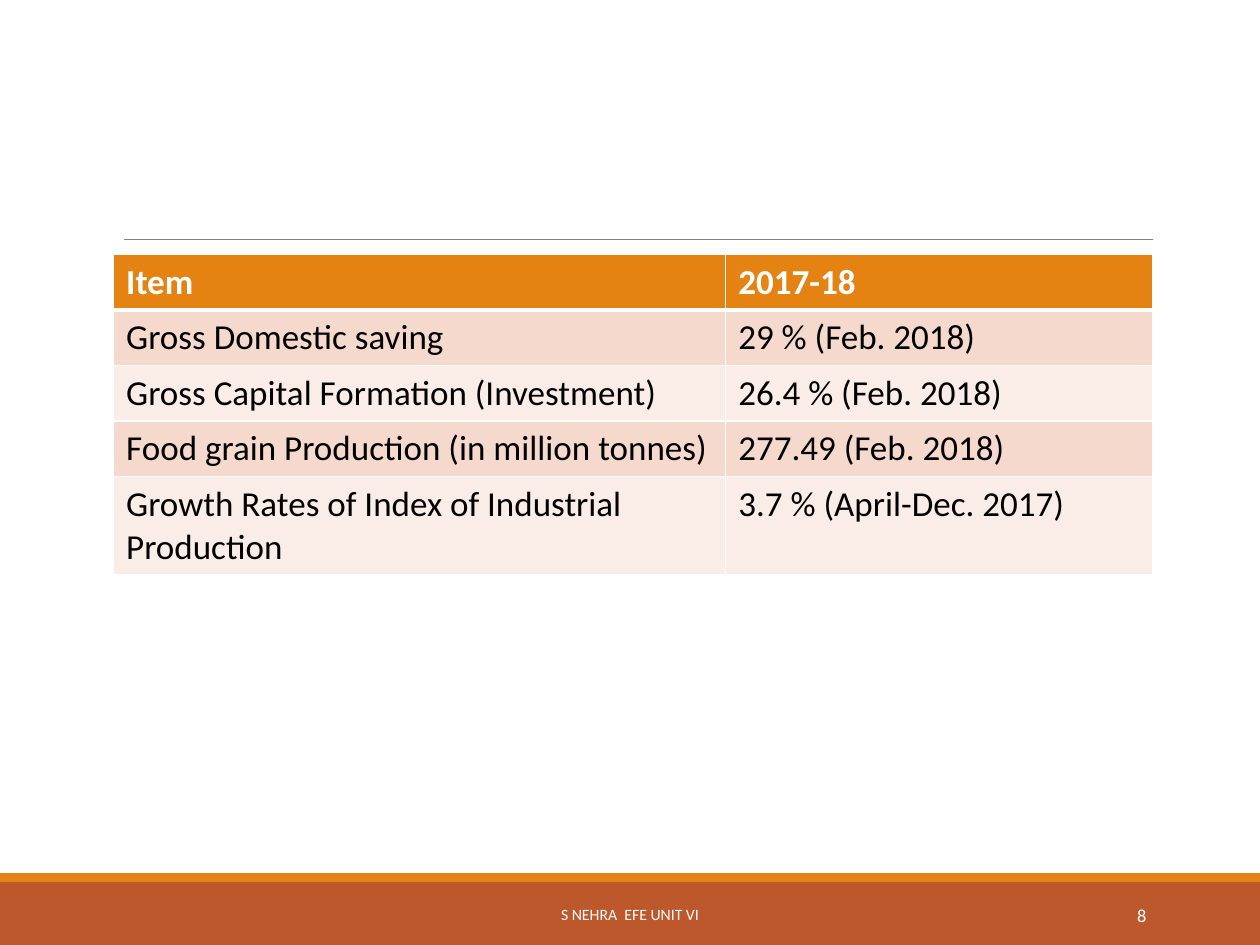
"""Build a slide with a table of economic indicators and a footer band."""
from lxml import etree
from pptx import Presentation
from pptx import util as u
from pptx.dml.color import RGBColor
from pptx.enum import shapes, text
from pptx.oxml import ns

ROWS = [
    ("Item", "2017-18"),
    ("Gross Domestic saving", "29 % (Feb. 2018)"),
    ("Gross Capital Formation (Investment)", "26.4 % (Feb. 2018)"),
    ("Food grain Production (in million tonnes)", "277.49 (Feb. 2018)"),
    ("Growth Rates of Index of Industrial Production", "3.7 % (April-Dec. 2017)"),
]
FOOTER = "S NEHRA  EFE UNIT VI"
PAGE_NUMBER = "8"

FONT = "Calibri"
WHITE = RGBColor(0xFF, 0xFF, 0xFF)
BLACK = RGBColor(0, 0, 0)
GRAY = RGBColor(0x80, 0x80, 0x80)
ORANGE = RGBColor(0xE4, 0x83, 0x12)
RUST = RGBColor(0xBD, 0x58, 0x2C)
BANDS = (RGBColor(0xFA, 0xED, 0xE7), RGBColor(0xF5, 0xD9, 0xCC))

SLIDE_WIDTH, SLIDE_HEIGHT = 25.4, 19.05
COLUMN_WIDTHS = (12.34, 8.61)
ROW_HEIGHTS = (1.12, 1.12, 1.12, 1.12, 1.97)


def write(frame, content, size=20, color=BLACK, bold=False, align=text.PP_ALIGN.LEFT):
    paragraph = frame.paragraphs[0]
    paragraph.alignment = align
    run = paragraph.add_run()
    run.text = content
    run.font.name = FONT
    run.font.size = u.Pt(size)
    run.font.bold = bold
    run.font.color.rgb = color


def add_band(slide, top, height, color):
    band = slide.shapes.add_shape(
        shapes.MSO_SHAPE.RECTANGLE, 0, u.Cm(top), u.Cm(SLIDE_WIDTH), u.Cm(height))
    band.shadow.inherit = False
    band.fill.solid()
    band.fill.fore_color.rgb = color
    band.line.fill.background()


def add_rule(slide):
    rule = slide.shapes.add_connector(
        shapes.MSO_CONNECTOR.STRAIGHT, u.Cm(2.49), u.Cm(4.83), u.Cm(23.24), u.Cm(4.83))
    rule.line.color.rgb = GRAY
    rule.line.width = u.Pt(0.5)
    etree.SubElement(rule._element.spPr, ns.qn("a:effectLst"))


def add_borders(cell, top, bottom):
    properties = cell._tc.get_or_add_tcPr()
    for side, width in (("L", 1), ("R", 1), ("T", top), ("B", bottom)):
        line = etree.SubElement(properties, ns.qn(f"a:ln{side}"), w=str(u.Pt(width)))
        fill = etree.SubElement(line, ns.qn("a:solidFill"))
        etree.SubElement(fill, ns.qn("a:srgbClr"), val=str(WHITE))


def add_indicator_table(slide):
    table = slide.shapes.add_table(
        len(ROWS), len(COLUMN_WIDTHS), u.Cm(2.29), u.Cm(5.13),
        u.Cm(sum(COLUMN_WIDTHS)), u.Cm(sum(ROW_HEIGHTS))).table
    for column, width in zip(table.columns, COLUMN_WIDTHS):
        column.width = u.Cm(width)
    for index, (row, height, values) in enumerate(zip(table.rows, ROW_HEIGHTS, ROWS)):
        row.height = u.Cm(height)
        header = index == 0
        for cell, value in zip(row.cells, values):
            add_borders(cell, top=3 if index == 1 else 1, bottom=3 if header else 1)
            cell.fill.solid()
            cell.fill.fore_color.rgb = ORANGE if header else BANDS[index % 2]
            write(cell.text_frame, value, color=WHITE if header else BLACK, bold=header)


def add_footer_text(slide, content, left, width, size, align):
    box = slide.shapes.add_textbox(u.Cm(left), u.Cm(17.93), u.Cm(width), u.Cm(1.02))
    box.text_frame.word_wrap = True
    box.text_frame.vertical_anchor = text.MSO_ANCHOR.MIDDLE
    write(box.text_frame, content, size=size, color=WHITE, align=align)


def main():
    presentation = Presentation()
    presentation.slide_width = u.Cm(SLIDE_WIDTH)
    presentation.slide_height = u.Cm(SLIDE_HEIGHT)
    slide = presentation.slides.add_slide(presentation.slide_layouts[6])
    add_band(slide, 17.78, 1.27, RUST)
    add_band(slide, 17.6, 0.18, ORANGE)
    add_rule(slide)
    add_indicator_table(slide)
    add_footer_text(slide, FOOTER, 7.67, 10.06, 9, text.PP_ALIGN.CENTER)
    add_footer_text(slide, PAGE_NUMBER, 20.62, 2.74, 10.5, text.PP_ALIGN.RIGHT)
    presentation.save("out.pptx")


if __name__ == "__main__":
    main()
